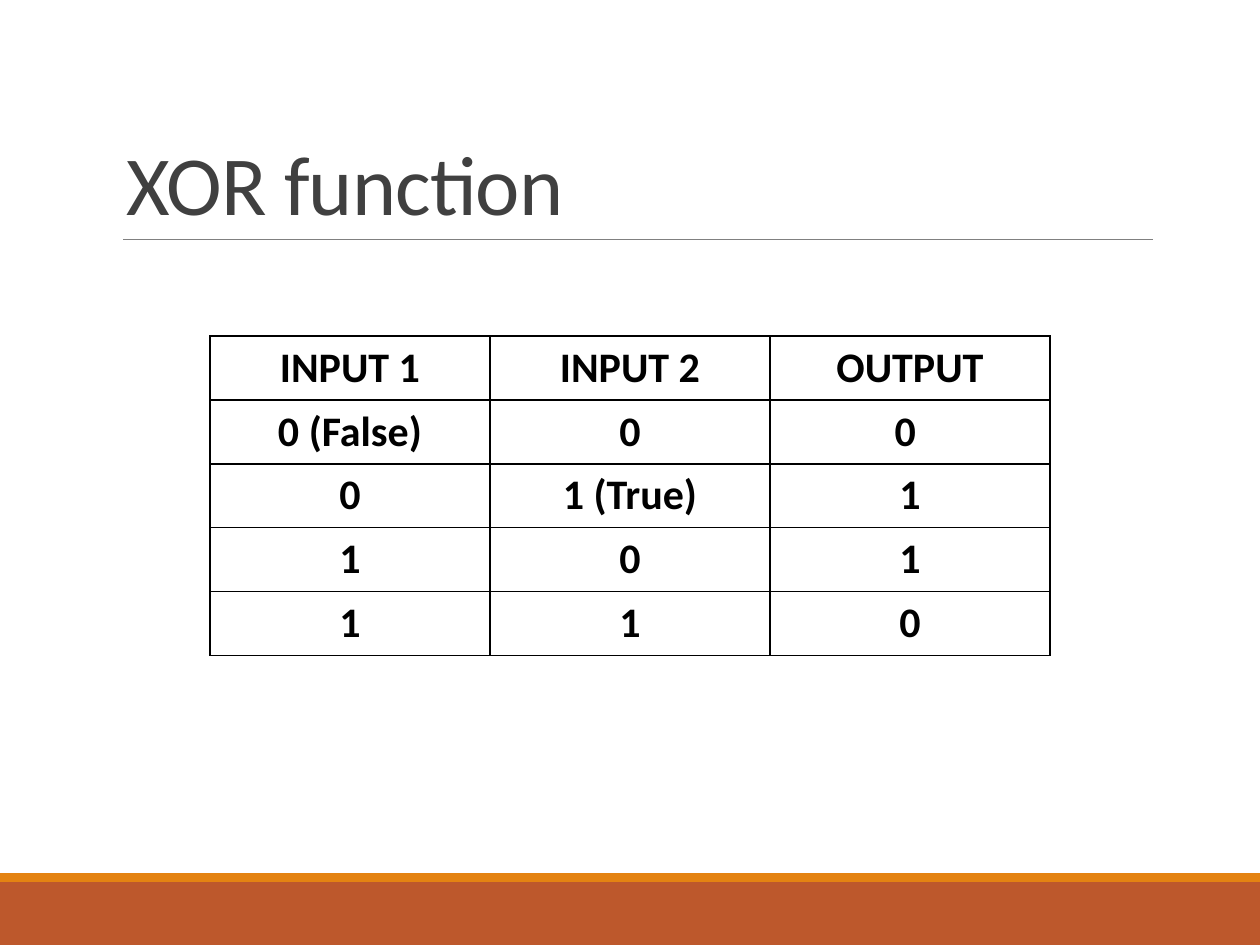
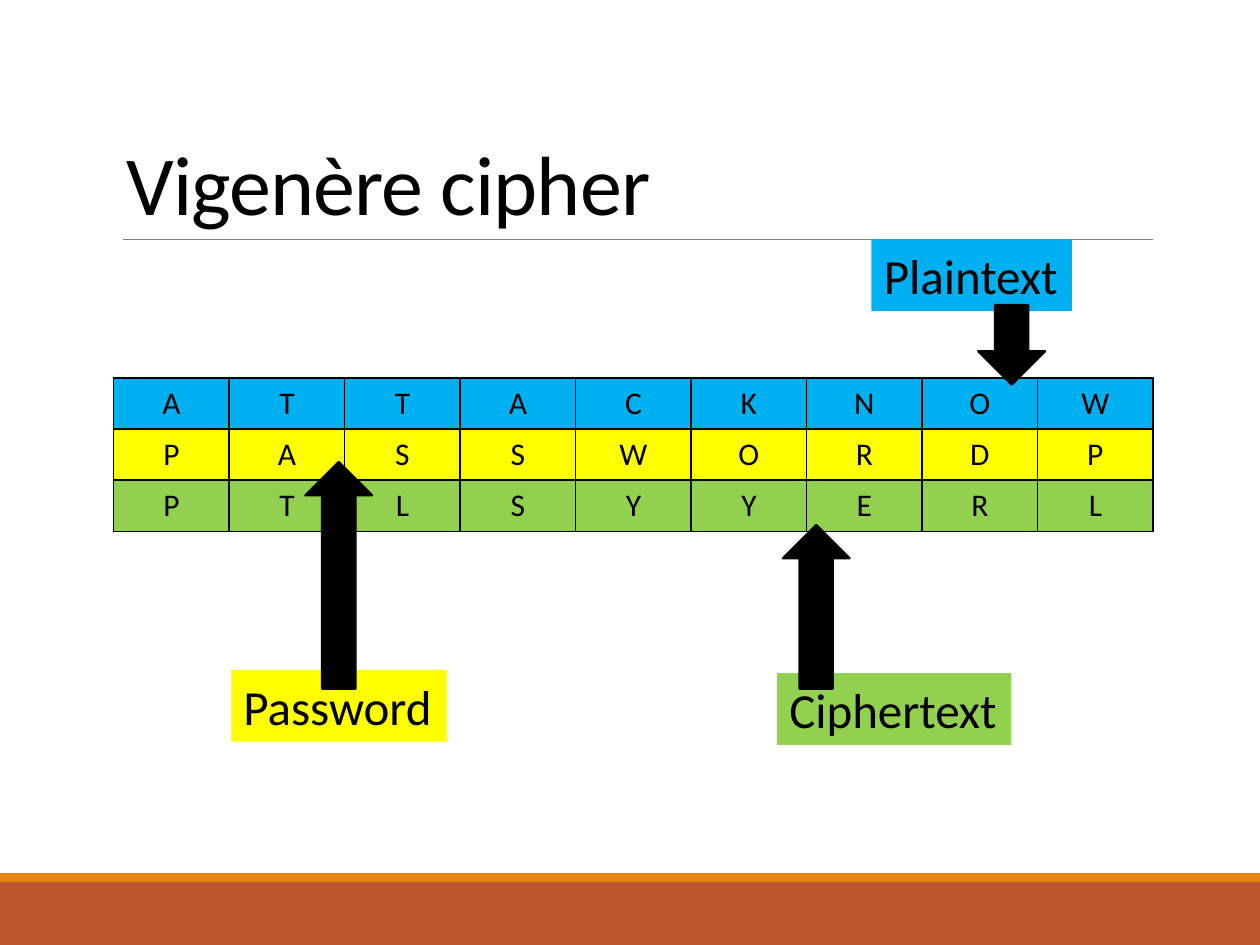
from lxml import etree
from pptx import Presentation
from pptx.dml.color import RGBColor
from pptx.enum.shapes import MSO_CONNECTOR, MSO_SHAPE
from pptx.enum.text import MSO_ANCHOR, MSO_AUTO_SIZE, PP_ALIGN
from pptx.oxml import parse_xml
from pptx.oxml.ns import nsdecls, qn
from pptx.util import Pt

RECT = MSO_SHAPE.RECTANGLE
UP, DOWN = MSO_SHAPE.UP_ARROW, MSO_SHAPE.DOWN_ARROW
STRAIGHT = MSO_CONNECTOR.STRAIGHT
LEFT, CENTER = PP_ALIGN.LEFT, PP_ALIGN.CENTER
BOTTOM = MSO_ANCHOR.BOTTOM
NO_FIT, GROW = MSO_AUTO_SIZE.NONE, MSO_AUTO_SIZE.SHAPE_TO_FIT_TEXT

FONT = "Calibri"
W, H = 720, 540
COLORS = {
    "black": "000000",
    "title": "404040",
    "rule": "808080",
    "footer": "BD582C",
    "stripe": "E48312",
    "plaintext": "00B0F0",
    "password": "FFFF00",
    "ciphertext": "92D050",
}
ARROW_WIDTH = 38.2

TRUTH_TABLE = [
    ["INPUT 1", "INPUT 2", "OUTPUT"],
    ["0 (False)", "0", "0 "],
    ["0", "1 (True)", "1"],
    ["1", "0", "1"],
    ["1", "1", "0"],
]
CIPHER_ROWS = {
    "plaintext": "ATTACKNOW",
    "password": "PASSWORDP",
    "ciphertext": "PTLSYYERL",
}


def rgb(name):
    return RGBColor.from_string(COLORS[name])


def style(p, size, color="black", bold=False, align=LEFT):
    p.alignment = align
    p.font.name = FONT
    p.font.size = Pt(size)
    p.font.bold = bold
    p.font.color.rgb = rgb(color)


def add_filled(slide, kind, box, color):
    sp = slide.shapes.add_shape(kind, *map(Pt, box))
    sp.shadow.inherit = False
    sp.fill.solid()
    sp.fill.fore_color.rgb = rgb(color)
    sp.line.fill.background()
    return sp


def add_slide(prs, title, color):
    """Add a slide with the title, the rule below it and the footer bands."""
    slide = prs.slides.add_slide(prs.slide_layouts[5])
    add_filled(slide, RECT, (0, 504, W, 36), "footer")
    add_filled(slide, RECT, (0, 499, W, 5), "stripe")

    rule = slide.shapes.add_connector(STRAIGHT, Pt(70.5), Pt(136.8), Pt(659), Pt(136.8))
    rule.line.color.rgb = rgb("rule")
    rule.line.width = Pt(0.5)
    etree.SubElement(rule._element.spPr, qn("a:effectLst"))

    sp = slide.shapes.title
    sp.left, sp.top, sp.width, sp.height = map(Pt, (65, 22.3, 594, 114.5))
    tf = sp.text_frame
    tf.auto_size = NO_FIT
    tf.vertical_anchor = BOTTOM
    p = tf.paragraphs[0]
    r = p.add_run()
    r.text = title
    r._r.get_or_add_rPr().set("spc", "-50")
    p.line_spacing = 0.85
    style(p, 48, color)
    return slide


def add_borders(cell):
    tcPr = cell._tc.get_or_add_tcPr()
    for side in "LRTB":
        tcPr.append(parse_xml(
            f'<a:ln{side} {nsdecls("a")} w="12700"><a:solidFill>'
            f'<a:srgbClr val="{COLORS["black"]}"/></a:solidFill></a:ln{side}>'))


def add_grid(slide, rows, box, size, bold=False, fills=None):
    """Add a bordered table of equal cells; fills names one colour per row."""
    n_rows, n_cols = len(rows), len(rows[0])
    left, top, width, height = box
    table = slide.shapes.add_table(n_rows, n_cols, *map(Pt, box)).table
    table.first_row = table.horz_banding = False
    for column in table.columns:
        column.width = Pt(width / n_cols)
    for i, values in enumerate(rows):
        table.rows[i].height = Pt(height / n_rows)
        for j, value in enumerate(values):
            cell = table.cell(i, j)
            add_borders(cell)
            if fills:
                cell.fill.solid()
                cell.fill.fore_color.rgb = rgb(fills[i])
            else:
                cell.fill.background()
            cell.text = value
            style(cell.text_frame.paragraphs[0], size, bold=bold, align=CENTER)


def add_label(slide, text, left, top, width):
    """Add a label filled with the colour of the row it names."""
    sp = slide.shapes.add_textbox(Pt(left), Pt(top), Pt(width), Pt(41))
    sp.fill.solid()
    sp.fill.fore_color.rgb = rgb(text.lower())
    tf = sp.text_frame
    tf.word_wrap = False
    tf.auto_size = GROW
    p = tf.paragraphs[0]
    p.text = text
    style(p, 28)


def add_arrow(slide, kind, left, top, height):
    sp = add_filled(slide, kind, (left, top, ARROW_WIDTH, height), "black")
    sp.line.color.rgb = rgb("black")
    sp.line.width = Pt(1.25)


def add_xor_slide(prs):
    slide = add_slide(prs, "XOR function", "title")
    add_grid(slide, TRUTH_TABLE, (120, 192, 480, 182.5), 24, bold=True)


def add_cipher_slide(prs):
    slide = add_slide(prs, "Vigenère cipher", "black")
    add_grid(slide, list(CIPHER_ROWS.values()), (65, 216, 594, 87.6), 18,
             fills=list(CIPHER_ROWS))
    add_label(slide, "Plaintext", 498, 136.8, 114.5)
    add_label(slide, "Password", 132, 382.8, 123.3)
    add_label(slide, "Ciphertext", 444, 384.7, 134)
    add_arrow(slide, DOWN, 559, 174.3, 45.5)
    add_arrow(slide, UP, 447.3, 300, 93.6)
    add_arrow(slide, UP, 174.5, 264, 129.6)


def main():
    prs = Presentation()
    prs.slide_width, prs.slide_height = Pt(W), Pt(H)
    add_xor_slide(prs)
    add_cipher_slide(prs)
    prs.save("out.pptx")


if __name__ == "__main__":
    main()
